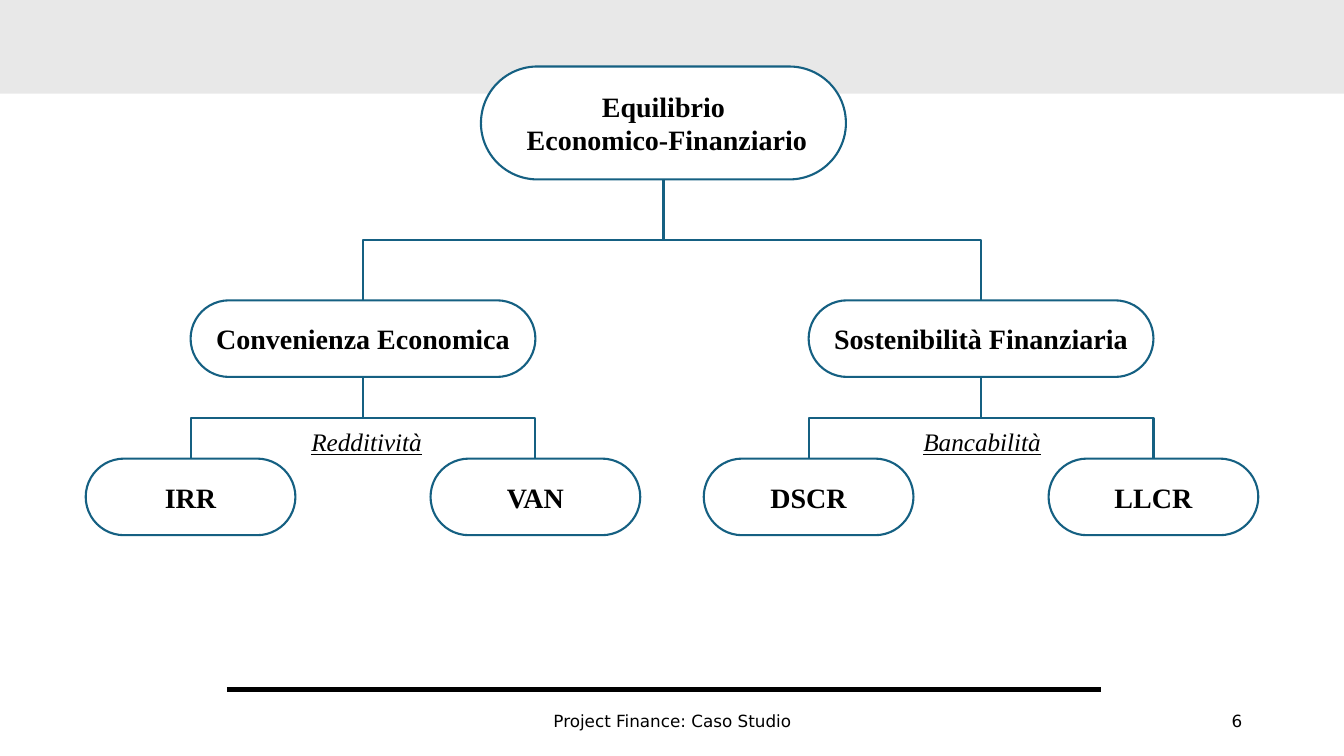
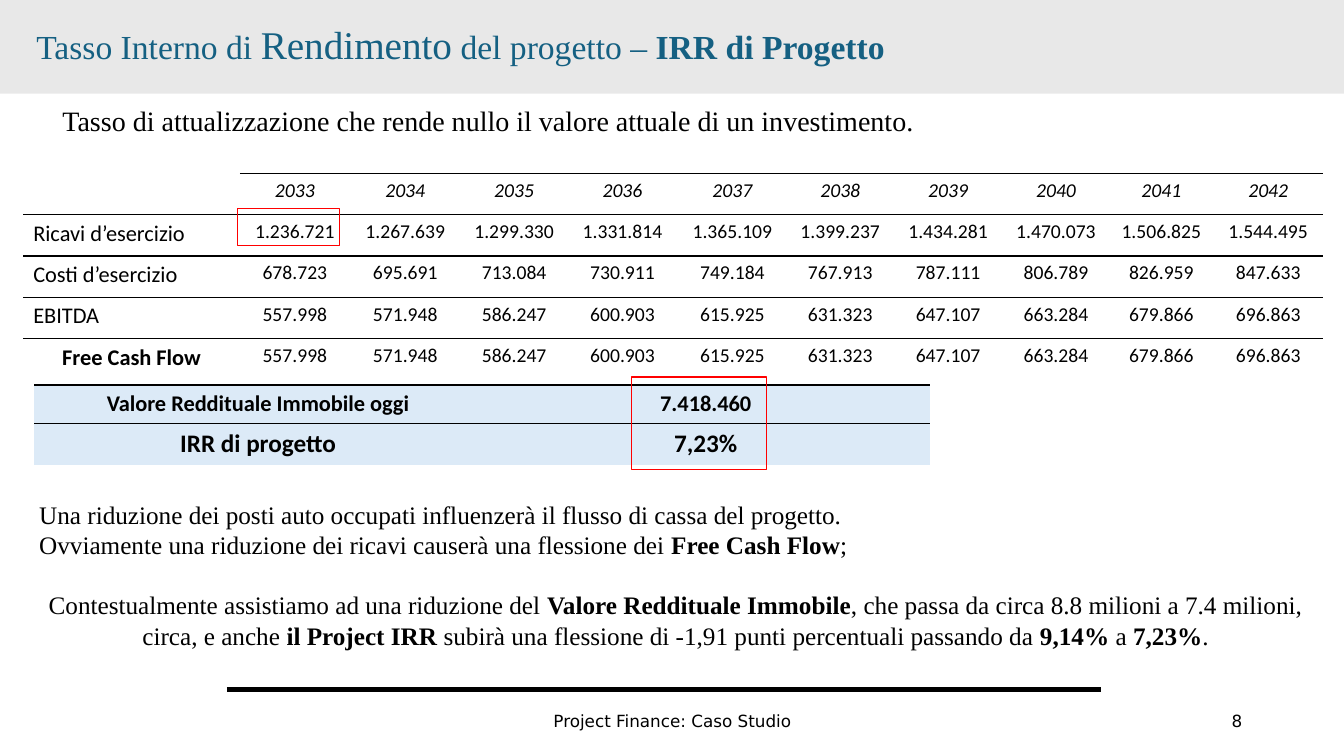
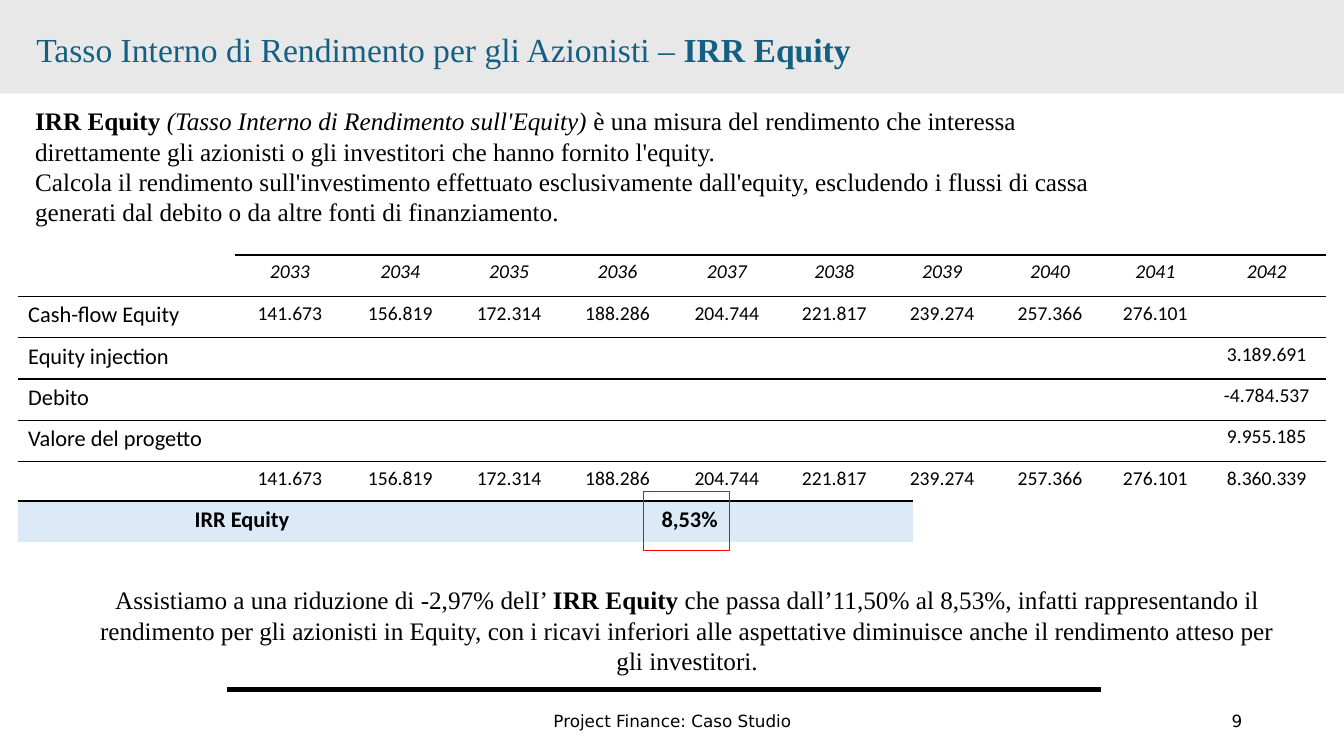
"""Builds three slides on project finance returns."""
from lxml.etree import SubElement
from pptx import Presentation
from pptx.dml.color import RGBColor
from pptx.enum.shapes import MSO_CONNECTOR as LINK, MSO_SHAPE as SHAPE
from pptx.enum.text import MSO_ANCHOR as ANCHOR, MSO_AUTO_SIZE as FIT, PP_ALIGN as ALIGN
from pptx.oxml import parse_xml
from pptx.oxml.ns import nsdecls, qn
from pptx.util import Inches, Pt

BLACK = RGBColor(0, 0, 0)
WHITE = RGBColor(255, 255, 255)
BLUE = RGBColor(0x15, 0x60, 0x82)
GREY = RGBColor(0xE8, 0xE8, 0xE8)
PALE = RGBColor(0xDC, 0xEA, 0xF7)
RED = RGBColor(255, 0, 0)
SERIF, SANS, PLAIN = "Times New Roman", "Calibri", "DejaVu Sans"
NO_STYLE = "{2D5ABB26-0587-4C30-8999-92F81FD0307C}"
YEARS = [str(year) for year in range(2033, 2043)]


def write(frame, paras, size, font=SERIF, color=BLACK, align=ALIGN.LEFT):
    """Fill a frame; each paragraph is a string or a list of (text, marks, size) runs."""
    for index, runs in enumerate(paras):
        para = frame.paragraphs[0] if index == 0 else frame.add_paragraph()
        para.alignment = align
        for part in [(runs,)] if isinstance(runs, str) else runs:
            text, marks, points = (*part, "", size)[:3] if len(part) != 2 else (*part, size)
            run = para.add_run()
            run.text = text
            run.font.name, run.font.size = font, Pt(points)
            run.font.color.rgb = color
            run.font.bold, run.font.italic = "b" in marks, "i" in marks
            run.font.underline = "u" in marks


def add_text(slide, box, paras, size, wrap=True, anchor=ANCHOR.TOP, **style):
    """Add a text box."""
    frame = slide.shapes.add_textbox(*map(Inches, box)).text_frame
    frame.word_wrap, frame.vertical_anchor = wrap, anchor
    write(frame, paras, size, **style)
    return frame


def add_box(slide, kind, box, fill=None, line=None, width=1.5):
    """Add a flat shape with an optional fill and line."""
    shape = slide.shapes.add_shape(kind, *map(Inches, box))
    shape.shadow.inherit = False
    if fill is None:
        shape.fill.background()
    else:
        shape.fill.solid()
        shape.fill.fore_color.rgb = fill
    if line is None:
        shape.line.fill.background()
    else:
        shape.line.color.rgb, shape.line.width = line, Pt(width)
    return shape


def add_mark(slide, box):
    """Add a red outline around a key value."""
    add_box(slide, SHAPE.RECTANGLE, box, line=RED, width=0.75)


def add_line(slide, kind, ends, color, width):
    """Add a flat connector."""
    line = slide.shapes.add_connector(kind, *ends)
    line.line.color.rgb, line.line.width = color, Pt(width)
    SubElement(line.element.spPr, qn("a:effectLst"))
    return line


def add_slide(deck, layout, number):
    """Add a slide with the shared band, footer and rule."""
    slide = deck.slides.add_slide(deck.slide_layouts[layout])
    band = add_box(slide, SHAPE.RECTANGLE, (-0.26, -0.04, 13.68, 0.97), GREY)
    slide.shapes.element.insert(2, band.element)
    foot = {"font": PLAIN, "anchor": ANCHOR.MIDDLE}
    add_text(slide, (4.42, 6.95, 4.5, 0.4), ["Project Finance: Caso Studio"], 12,
             align=ALIGN.CENTER, **foot)
    add_text(slide, (9.42, 6.95, 3, 0.4), [str(number)], 12, align=ALIGN.RIGHT, **foot)
    add_line(slide, LINK.STRAIGHT, map(Inches, (2.25, 6.84, 10.92, 6.84)), BLACK, 3)
    return slide


def set_title(slide, box, runs):
    """Place and format the title placeholder."""
    title = slide.shapes.title
    title.left, title.top, title.width, title.height = map(Inches, box)
    frame = title.text_frame
    frame.auto_size, frame.word_wrap = FIT.NONE, False
    frame.vertical_anchor = ANCHOR.TOP
    write(frame, [runs], 24, color=BLUE)


def add_node(slide, mid, top, width, height, paras):
    """Add a rounded tree node centred on mid."""
    box = (mid - width / 2, top, width, height)
    node = add_box(slide, SHAPE.ROUNDED_RECTANGLE, box, WHITE, BLUE)
    node.adjustments[0] = 0.5
    frame = node.text_frame
    frame.margin_top = frame.margin_bottom = Inches(0.1)
    frame.vertical_anchor = ANCHOR.MIDDLE
    write(frame, [[(text, "b")] for text in paras], 20, align=ALIGN.CENTER)
    return node


def join(slide, upper, lower):
    """Join two nodes with an elbow that leaves downwards."""
    x1, y1 = upper.left + upper.width // 2, upper.top + upper.height
    x2, y2 = lower.left + lower.width // 2, lower.top
    line = add_line(slide, LINK.ELBOW, (x1, y1, x2, y2), BLUE, 1.5)
    line.begin_connect(upper, 2)
    line.end_connect(lower, 0)
    wide, deep = abs(x2 - x1), y2 - y1
    line.left, line.top = (x1 + x2 - deep) // 2, (y1 + y2 - wide) // 2
    line.width, line.height = deep, wide
    frame = line.element.spPr.find(qn("a:xfrm"))
    frame.attrib.clear()
    if x2 > x1:
        frame.set("rot", "16200000")
        frame.set("flipH", "1")
    else:
        frame.set("rot", "5400000")


def set_cell(cell, text, size, marks="", align=ALIGN.CENTER, fill=None, rule=True):
    """Fill one cell and draw its top rule."""
    if text:
        write(cell.text_frame, [[(text, marks)]], size, font=SANS, align=align)
    if fill is None:
        cell.fill.background()
    else:
        cell.fill.solid()
        cell.fill.fore_color.rgb = fill
    if rule:
        cell._tc.get_or_add_tcPr().insert(0, parse_xml(
            f'<a:lnT {nsdecls("a")} w="12700"><a:solidFill>'
            f'<a:srgbClr val="{BLACK}"/></a:solidFill></a:lnT>'))


def add_table(slide, left, top, widths, count):
    """Add a table without style."""
    holder = slide.shapes.add_table(count, len(widths), Inches(left), Inches(top),
                                    Inches(sum(widths)), Inches(0.41 * count))
    table = holder.table
    table.first_row = table.horz_banding = False
    next(holder.element.iter(qn("a:tableStyleId"))).text = NO_STYLE
    for col, width in zip(table.columns, widths):
        col.width = Inches(width)
    for row in table.rows:
        row.height = Inches(0.41)
    return table


def add_flows(slide, left, top, widths, rows, total=""):
    """Add a yearly table with row labels; the total label is bold."""
    table = add_table(slide, left, top, widths, len(rows) + 1)
    for r, (label, values) in enumerate([("", YEARS), *rows]):
        bold = bool(label) and label == total
        set_cell(table.cell(r, 0), label, 16, "b" if bold else "",
                 ALIGN.CENTER if bold else ALIGN.LEFT, rule=r > 0)
        for c, value in enumerate(values, 1):
            set_cell(table.cell(r, c), value, 14, "" if r else "i")


def add_strip(slide, left, top, texts, size=16):
    """Add a shaded row with a label and its value."""
    table = add_table(slide, left, top, (4.44, 4.44), 1)
    for c, text in enumerate(texts):
        set_cell(table.cell(0, c), text, size, "b", fill=PALE)


def add_tree(deck):
    """Build the tree of indicators."""
    slide = add_slide(deck, 6, 6)
    root = add_node(slide, 6.58, 0.66, 3.62, 1.12, ["Equilibrio", " Economico-Finanziario"])
    for mid, name, left, note, leaves in (
            (3.6, "Convenienza Economica", 2.99, "Redditività", ("IRR", "VAN")),
            (9.73, "Sostenibilità Finanziaria", 9.06, "Bancabilità", ("DSCR", "LLCR"))):
        branch = add_node(slide, mid, 2.98, 3.42, 0.76, [name])
        join(slide, root, branch)
        for side, leaf in zip((-1.71, 1.71), leaves):
            join(slide, branch, add_node(slide, mid + side, 4.55, 2.08, 0.76, [leaf]))
        add_text(slide, (left, 4.18, 1.4, 0.4), [[(note, "iu")]], 18, wrap=False)


def add_project(deck):
    """Build the project return slide."""
    slide = add_slide(deck, 5, 8)
    set_title(slide, (0.26, 0.15, 8.97, 0.57), [
        ("Tasso Interno di ",), ("Rendimento", "", 28), (" del progetto – ",),
        ("IRR di Progetto", "b")])
    add_text(slide, (0.52, 0.98, 12.82, 0.44), [
        "Tasso di attualizzazione che rende nullo il valore attuale di un investimento."], 20)
    margin = "557.998 571.948 586.247 600.903 615.925 631.323 647.107 663.284 679.866 696.863".split()
    add_flows(slide, 0.23, 1.72,
              (2.15, 1.09, 1.1, 1.06, 1.09, 1.09, 1.05, 1.09, 1.05, 1.04, 1.08), [
                  ("Ricavi d’esercizio", "1.236.721 1.267.639 1.299.330 1.331.814 1.365.109 "
                   "1.399.237 1.434.281 1.470.073 1.506.825 1.544.495".split()),
                  ("Costi d’esercizio", "678.723 695.691 713.084 730.911 749.184 "
                   "767.913 787.111 806.789 826.959 847.633".split()),
                  ("EBITDA", margin),
                  ("Free Cash Flow", margin)], "Free Cash Flow")
    add_strip(slide, 0.34, 3.82, ("Valore Reddituale Immobile oggi", "7.418.460"))
    add_strip(slide, 0.34, 4.2, ("IRR di progetto", "7,23%"), 18)
    add_mark(slide, (6.26, 3.74, 1.34, 0.92))
    add_mark(slide, (2.36, 2.07, 1.01, 0.37))
    frame = add_text(slide, (0.29, 4.9, 12.82, 1.62), [
        "Una riduzione dei posti auto occupati influenzerà il flusso di cassa del progetto.",
        [("Ovviamente una riduzione dei ricavi causerà una flessione dei ",),
         ("Free Cash Flow", "b"), (";",)],
        [("Contestualmente assistiamo ad una riduzione del ",),
         ("Valore Reddituale Immobile", "b"),
         (", che passa da circa 8.8 milioni a 7.4 milioni, circa, e anche ",),
         ("il Project IRR ", "b"),
         ("subirà una flessione di -1,91 punti percentuali passando da ",),
         ("9,14% ", "b"), ("a",), (" 7,23%", "b"), (".",)]], 18)
    last = frame.paragraphs[-1]
    last.alignment, last.space_before = ALIGN.CENTER, Pt(21.6)


def add_equity(deck):
    """Build the equity return slide."""
    slide = add_slide(deck, 5, 9)
    set_title(slide, (0.26, 0.24, 8.42, 0.5), [
        ("Tasso Interno di Rendimento per gli Azionisti – ",), ("IRR Equity", "b")])
    add_text(slide, (0.25, 1, 10.67, 1.31), [
        [("IRR Equity ", "b"), ("(Tasso Interno di Rendimento sull'Equity) ", "i"),
         ("è una misura del rendimento che interessa direttamente gli azionisti o gli "
          "investitori che hanno fornito l'equity.",)],
        "Calcola il rendimento sull'investimento effettuato esclusivamente dall'equity, "
        "escludendo i flussi di cassa generati dal debito o da altre fonti di "
        "finanziamento."], 18)
    flow = "141.673 156.819 172.314 188.286 204.744 221.817 239.274 257.366 276.101".split()
    blank = [""] * len(flow)
    add_flows(slide, 0.18, 2.53,
              (2.15, 1.09, 1.1, 1.06, 1.09, 1.08, 1.05, 1.09, 1.05, 1.04, 1.17), [
                  ("Cash-flow Equity", flow + [""]),
                  ("Equity injection", blank + ["3.189.691"]),
                  ("Debito", blank + ["-4.784.537"]),
                  ("Valore del progetto", blank + ["9.955.185"]),
                  ("", flow + ["8.360.339"])])
    add_strip(slide, 0.18, 4.97, ("IRR Equity", "8,53%"))
    add_text(slide, (0.87, 5.75, 11.89, 1.01), [
        [("Assistiamo a una riduzione di -2,97% delI’ ",), ("IRR Equity ", "b"),
         ("che passa dall’11,50% al 8,53%, infatti rappresentando il rendimento per gli "
          "azionisti in Equity, con i ricavi inferiori alle aspettative diminuisce anche il "
          "rendimento atteso per gli investitori.",)]], 18, align=ALIGN.CENTER)
    add_mark(slide, (6.38, 4.88, 0.86, 0.58))


def main():
    """Build and save the deck."""
    deck = Presentation()
    deck.slide_width, deck.slide_height = Inches(13.33), Inches(7.5)
    add_tree(deck)
    add_project(deck)
    add_equity(deck)
    deck.save("out.pptx")


if __name__ == "__main__":
    main()
